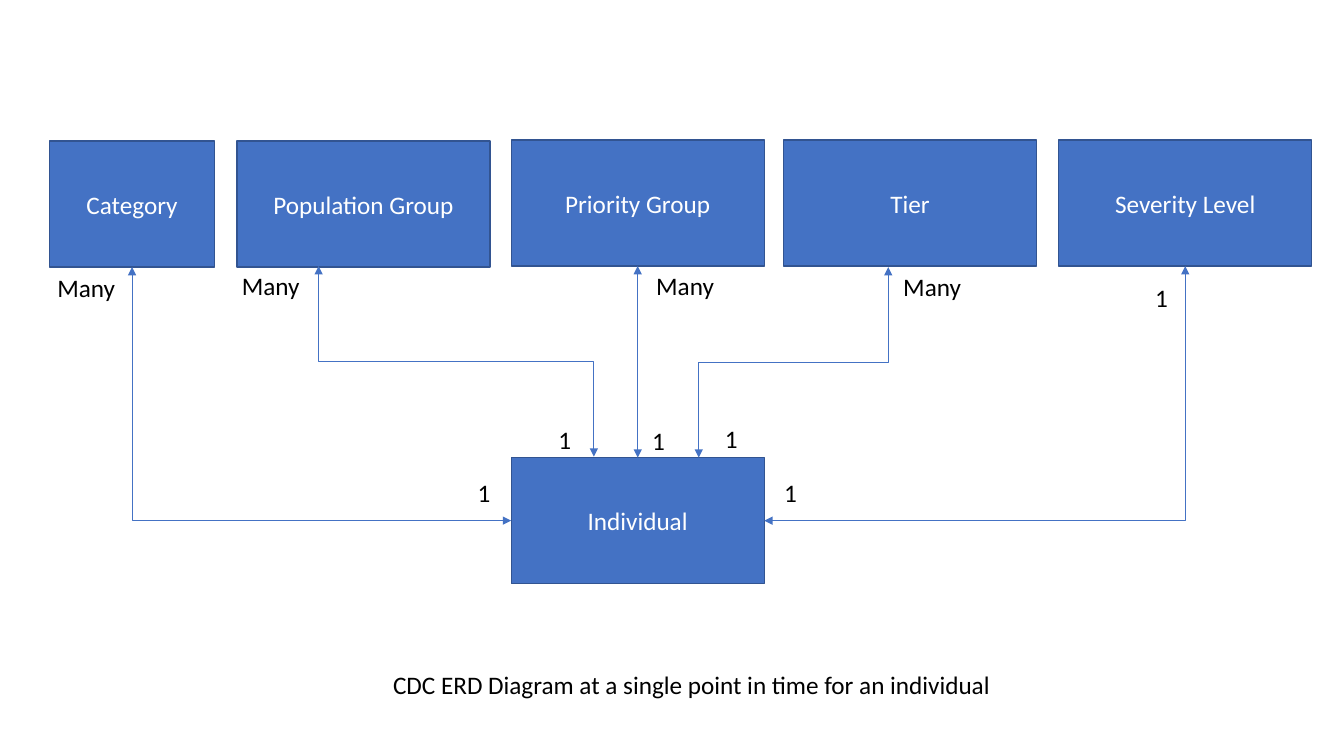
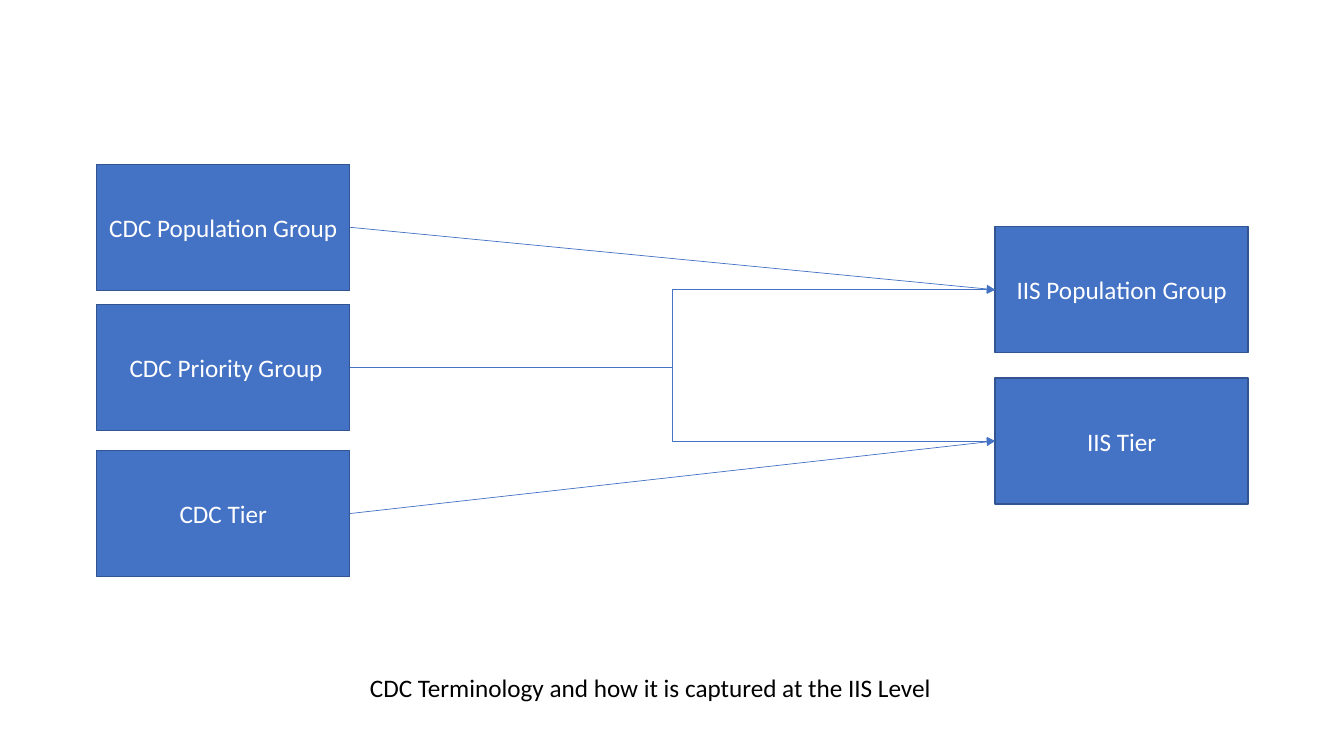
"""Build two entity diagrams: one individual's relations, and how terms map to IIS."""
from lxml import etree
from pptx import Presentation
from pptx.dml.color import RGBColor
from pptx.enum.shapes import MSO_CONNECTOR, MSO_SHAPE
from pptx.enum.text import MSO_ANCHOR, MSO_AUTO_SIZE, PP_ALIGN
from pptx.oxml.ns import qn
from pptx.util import Inches, Pt

STRAIGHT, ELBOW = MSO_CONNECTOR.STRAIGHT, MSO_CONNECTOR.ELBOW
RECTANGLE = MSO_SHAPE.RECTANGLE
MIDDLE, CENTER = MSO_ANCHOR.MIDDLE, PP_ALIGN.CENTER
GROW = MSO_AUTO_SIZE.SHAPE_TO_FIT_TEXT
TOP, LEFT, BOTTOM, RIGHT = range(4)
COLORS = {"fill": "4472C4", "border": "325491", "dark": "000000", "light": "FFFFFF"}
FONT, TEXT_SIZE = "Calibri", Pt(18)
BOX_WIDTH, BOX_HEIGHT, LABEL_HEIGHT = 2.51, 1.25, 0.4


def add_text(page, text, left, top, width, boxed=False):
    """Add a filled entity box or a plain label."""
    if boxed:
        shape = page.shapes.add_shape(
            RECTANGLE, Inches(left), Inches(top), Inches(width), Inches(BOX_HEIGHT))
        shape.shadow.inherit = False
        shape.fill.solid()
        shape.fill.fore_color.rgb = RGBColor.from_string(COLORS["fill"])
        shape.line.color.rgb = RGBColor.from_string(COLORS["border"])
        shape.line.width = Pt(1)
        shape.text_frame.vertical_anchor = MIDDLE
    else:
        shape = page.shapes.add_textbox(
            Inches(left), Inches(top), Inches(width), Inches(LABEL_HEIGHT))
        shape.text_frame.auto_size = GROW
    shape.text_frame.word_wrap = True
    paragraph = shape.text_frame.paragraphs[0]
    paragraph.text = text
    if boxed:
        paragraph.alignment = CENTER
    paragraph.font.name = FONT
    paragraph.font.size = TEXT_SIZE
    paragraph.font.color.rgb = RGBColor.from_string(COLORS["light" if boxed else "dark"])
    return shape


def finish_connector(connector, arrows, downward=None):
    """Style a connector; a downward preset leaves its start vertically."""
    connector.line.color.rgb = RGBColor.from_string(COLORS["fill"])
    connector.line.width = Pt(0.5)
    properties = connector._element.spPr
    outline = properties.find(qn("a:ln"))
    for arrow in arrows:
        etree.SubElement(outline, qn(f"a:{arrow}"), type="triangle")
    etree.SubElement(properties, qn("a:effectLst"))
    if downward:
        rightward = connector.end_x > connector.begin_x
        center_x = connector.left + connector.width // 2
        center_y = connector.top + connector.height // 2
        connector.width, connector.height = connector.height, connector.width
        connector.left = center_x - connector.width // 2
        connector.top = center_y - connector.height // 2
        frame = properties.find(qn("a:xfrm"))
        frame.set("rot", str((270 if rightward else 90) * 60000))
        frame.set("flipH", str(int(rightward)))
        frame.set("flipV", "0")
        properties.find(qn("a:prstGeom")).set("prst", downward)


deck = Presentation()
deck.slide_width, deck.slide_height = Inches(13.33), Inches(7.5)
blank = deck.slide_layouts[6]

page = deck.slides.add_slide(blank)
add_text(page, "CDC ERD Diagram at a single point in time for an individual", 3.8, 6.59, 6.36)
entities = {}
for name, left, top, width in (
    ("Category", 0.49, 1.4, 1.64),
    ("Population Group", 2.35, 1.4, BOX_WIDTH),
    ("Tier", 7.77, 1.39, BOX_WIDTH),
    ("Individual", 5.07, 4.54, BOX_WIDTH),
    ("Severity Level", 10.5, 1.39, BOX_WIDTH),
    ("Priority Group", 5.07, 1.39, BOX_WIDTH),
):
    entities[name] = add_text(page, name, left, top, width, boxed=True)

both_ends = ("headEnd", "tailEnd")
for name, side, kind, downward in (
    ("Priority Group", TOP, STRAIGHT, None),
    ("Category", LEFT, ELBOW, "bentConnector2"),
    ("Severity Level", RIGHT, ELBOW, "bentConnector2"),
):
    connector = page.shapes.add_connector(kind, 0, 0, 0, 0)
    connector.begin_connect(entities[name], BOTTOM)
    connector.end_connect(entities["Individual"], side)
    finish_connector(connector, both_ends, downward)
for start_x, start_y, end_x, end_y in ((3.16, 2.64, 5.89, 4.53), (8.81, 2.65, 6.93, 4.54)):
    connector = page.shapes.add_connector(
        ELBOW, Inches(start_x), Inches(start_y), Inches(end_x), Inches(end_y))
    finish_connector(connector, both_ends, "bentConnector3")

for left, top in ((6.37, 4.17), (7.68, 4.69), (11.36, 2.75),
                  (7.09, 4.15), (5.44, 4.16), (4.64, 4.69)):
    add_text(page, "1", left, top, 0.74)
for left, top in ((0.47, 2.65), (2.3, 2.63), (6.41, 2.63), (8.86, 2.64)):
    add_text(page, "Many", left, top, 0.91)

page = deck.slides.add_slide(blank)
terms = {}
for name, left, top in (
    ("CDC Population Group", 0.96, 1.63),
    (" CDC Priority Group", 0.96, 3.02),
    ("CDC Tier", 0.96, 4.47),
    ("IIS Population Group", 9.87, 2.25),
    ("IIS Tier", 9.87, 3.75),
):
    terms[name.strip()] = add_text(page, name, left, top, BOX_WIDTH, boxed=True)
for source, target, kind in (
    ("CDC Population Group", "IIS Population Group", STRAIGHT),
    ("CDC Tier", "IIS Tier", STRAIGHT),
    ("CDC Priority Group", "IIS Tier", ELBOW),
    ("CDC Priority Group", "IIS Population Group", ELBOW),
):
    connector = page.shapes.add_connector(kind, 0, 0, 0, 0)
    connector.begin_connect(terms[source], RIGHT)
    connector.end_connect(terms[target], LEFT)
    finish_connector(connector, ("tailEnd",))
caption = add_text(
    page, "CDC Terminology and how it is captured at the IIS Level", 3.57, 6.62, 5.84)
caption.text_frame.word_wrap = False

deck.save("out.pptx")
